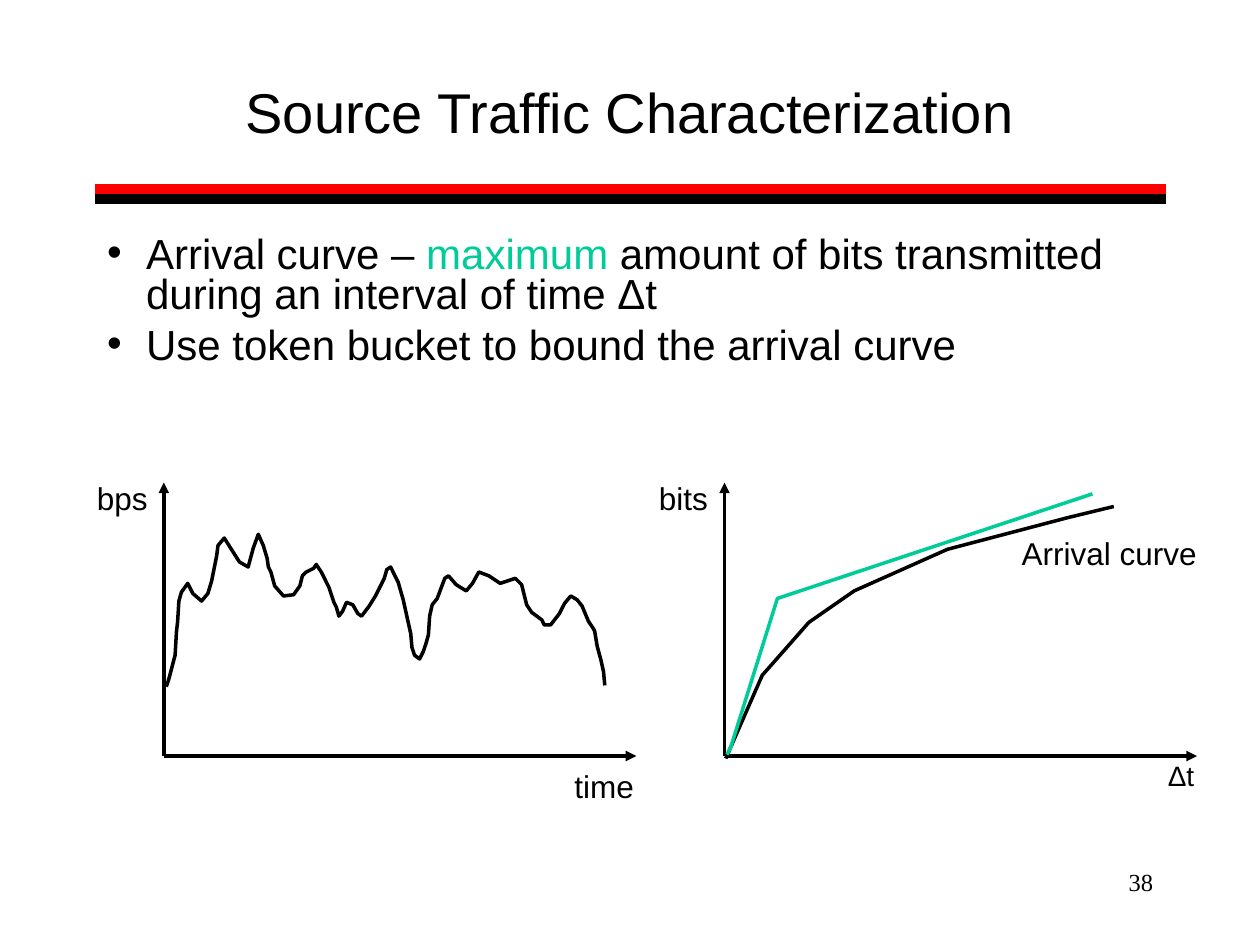
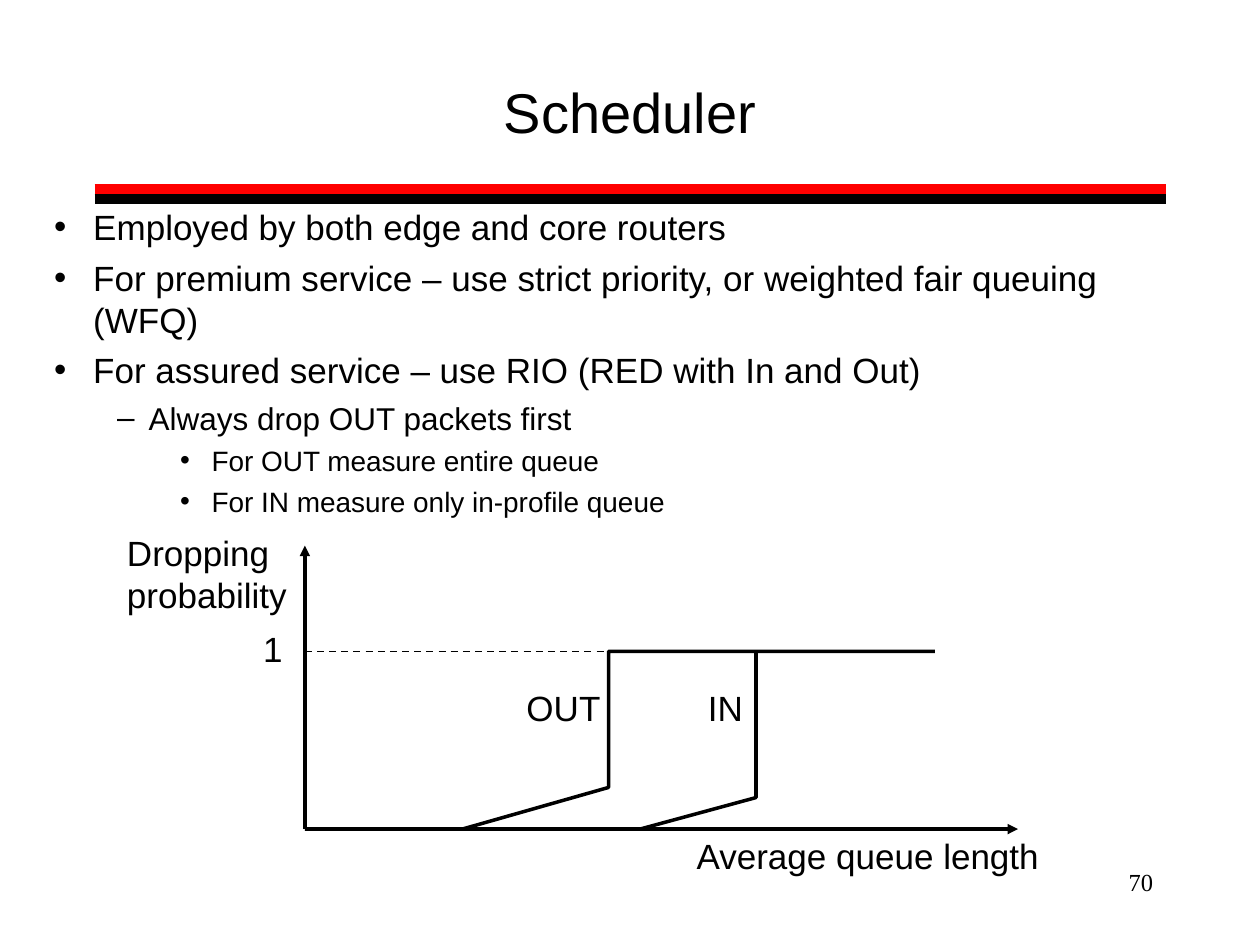
"""Builds two lecture slides on traffic characterization and scheduling."""
from dataclasses import dataclass

from lxml import etree
from pptx import Presentation
from pptx import util as u
from pptx.dml.color import RGBColor
from pptx.enum import dml, shapes, text
from pptx.oxml import ns


@dataclass(frozen=True)
class Theme:
    """Colours, fonts and type sizes."""
    ink: str = "000000"
    band: str = "FF0000"
    accent: str = "00CC99"
    font: str = "Arial"
    number_font: str = "Times New Roman"
    title: int = 32
    lead: int = 24
    large: int = 20
    medium: int = 18
    small: int = 16
    number: int = 14
    band_width: int = 6
    stroke: int = 2
    thin: int = 1


LEVELS = [("•", 0.31, 0.31), ("–", 0.75, 0.25), ("•", 1.25, 0.25)]

TRAFFIC = [
    (1.32, 5.45), (1.34, 5.39), (1.39, 5.2), (1.4, 5.02), (1.41, 4.93),
    (1.42, 4.77), (1.44, 4.7), (1.49, 4.63), (1.53, 4.71), (1.6, 4.77),
    (1.65, 4.71), (1.68, 4.61), (1.72, 4.41), (1.73, 4.33), (1.78, 4.27),
    (1.9, 4.46), (1.97, 4.5), (2.01, 4.35), (2.05, 4.24), (2.09, 4.33),
    (2.12, 4.43), (2.13, 4.5), (2.15, 4.54), (2.18, 4.65), (2.25, 4.73),
    (2.33, 4.72), (2.38, 4.65), (2.4, 4.57), (2.43, 4.54), (2.49, 4.51),
    (2.51, 4.48), (2.55, 4.54), (2.61, 4.66), (2.65, 4.78), (2.67, 4.82),
    (2.69, 4.89), (2.72, 4.85), (2.75, 4.78), (2.8, 4.8), (2.84, 4.87),
    (2.87, 4.89), (2.93, 4.81), (2.98, 4.73), (3.05, 4.59), (3.07, 4.52),
    (3.1, 4.5), (3.16, 4.62), (3.2, 4.76), (3.26, 5.03), (3.27, 5.14),
    (3.29, 5.2), (3.33, 5.23), (3.36, 5.17), (3.38, 5.11), (3.4, 5.04),
    (3.41, 4.89), (3.43, 4.8), (3.47, 4.75), (3.53, 4.59), (3.56, 4.57),
    (3.62, 4.64), (3.7, 4.69), (3.75, 4.63), (3.8, 4.54), (3.88, 4.57),
    (3.97, 4.63), (4.09, 4.59), (4.14, 4.64), (4.18, 4.8), (4.22, 4.86),
    (4.3, 4.92), (4.32, 4.96), (4.37, 4.96), (4.44, 4.87), (4.48, 4.79),
    (4.53, 4.73), (4.58, 4.76), (4.62, 4.81), (4.67, 4.93), (4.71, 4.99),
    (4.72, 5.01), (4.74, 5.13), (4.77, 5.24), (4.79, 5.33), (4.8, 5.44),
]
ARRIVAL = [(5.76, 6.02), (6.05, 5.36), (6.42, 4.94), (6.78, 4.69),
           (7.52, 4.36), (8.47, 4.11), (8.84, 4.02)]
TOKEN_BUCKET = [(5.77, 5.99), (5.8, 5.93), (6.17, 4.75), (8.67, 3.92)]
OUT_DROP = [(2.42, 6.58), (3.67, 6.58), (4.83, 6.25), (4.83, 5.17), (7.42, 5.17)]
IN_DROP = [(5.08, 6.58), (6, 6.33), (6, 5.17)]


class Deck:
    """Holds the theme and the current slide, and draws each kind of element."""

    def __init__(self, theme):
        self.theme = theme
        self.prs = Presentation()
        self.prs.slide_width, self.prs.slide_height = u.Inches(10), u.Inches(7.5)
        self.slide = None

    def new_slide(self, title, number):
        t = self.theme
        self.slide = self.prs.slides.add_slide(self.prs.slide_layouts[1])
        for y, color in ((1.5, t.band), (1.58, t.ink)):
            self.line((0.75, y), (9.25, y), t.band_width, color)
        heading = self.slide.shapes.title
        self.place(heading, 0.75, 0.42, 8.5, 0.92)
        heading.text_frame.vertical_anchor = text.MSO_ANCHOR.MIDDLE
        heading.text_frame.auto_size = text.MSO_AUTO_SIZE.NONE
        paragraph = heading.text_frame.paragraphs[0]
        paragraph.alignment = text.PP_ALIGN.CENTER
        self.run(paragraph, title, t.title)
        page = self.slide.shapes.add_textbox(
            u.Inches(7.17), u.Inches(6.83), u.Inches(2.08), u.Inches(0.5))
        page.text_frame.word_wrap = True
        paragraph = page.text_frame.paragraphs[0]
        paragraph.alignment = text.PP_ALIGN.RIGHT
        self.run(paragraph, number, t.number, font=t.number_font)

    def place(self, shape, left, top, width, height):
        shape.left, shape.top = u.Inches(left), u.Inches(top)
        shape.width, shape.height = u.Inches(width), u.Inches(height)

    def run(self, paragraph, words, size, color=None, font=None):
        run = paragraph.add_run()
        run.text = words
        run.font.size = u.Pt(size)
        run.font.name = font or self.theme.font
        run.font.color.rgb = RGBColor.from_string(color or self.theme.ink)

    def bullets(self, box, items, spacing=1.0):
        body = self.slide.placeholders[1]
        self.place(body, *box)
        frame = body.text_frame
        frame.auto_size = text.MSO_AUTO_SIZE.NONE
        for i, (level, size, runs) in enumerate(items):
            paragraph = frame.add_paragraph() if i else frame.paragraphs[0]
            paragraph.level = level
            mark, margin, hanging = LEVELS[level]
            props = paragraph._p.get_or_add_pPr()
            props.set("marL", str(u.Inches(margin)))
            props.set("indent", str(-u.Inches(hanging)))
            etree.SubElement(props, ns.qn("a:buChar"), char=mark)
            paragraph.line_spacing = spacing
            paragraph.space_before = u.Pt(size / 4 if i else 0)
            for words, color in runs:
                self.run(paragraph, words, size, color)

    def style_line(self, line, width, color):
        line.width = u.Pt(width)
        line.color.rgb = RGBColor.from_string(color or self.theme.ink)

    def line(self, start, end, width, color=None, arrow=False, dashed=False):
        link = self.slide.shapes.add_connector(
            shapes.MSO_CONNECTOR.STRAIGHT, *map(u.Inches, (*start, *end)))
        self.style_line(link.line, width, color)
        if dashed:
            link.line.dash_style = dml.MSO_LINE.DASH
        if arrow:
            etree.SubElement(link.line._get_or_add_ln(), ns.qn("a:tailEnd"), type="triangle")
        etree.SubElement(link._element.spPr, ns.qn("a:effectLst"))

    def axes(self, origin, right, top):
        x, y = origin
        for end in ((right, y), (x, top)):
            self.line(origin, end, self.theme.stroke, arrow=True)

    def curve(self, points, color=None):
        start, *rest = [(u.Inches(x), u.Inches(y)) for x, y in points]
        builder = self.slide.shapes.build_freeform(*start)
        builder.add_line_segments(rest, close=False)
        outline = builder.convert_to_shape()
        outline.fill.background()
        outline.shadow.inherit = False
        self.style_line(outline.line, self.theme.stroke, color)

    def label(self, box, size, *rows):
        left, top, width, height = map(u.Inches, box)
        frame = self.slide.shapes.add_textbox(left, top, width, height).text_frame
        frame.word_wrap = False
        frame.auto_size = text.MSO_AUTO_SIZE.SHAPE_TO_FIT_TEXT
        for i, words in enumerate(rows):
            paragraph = frame.add_paragraph() if i else frame.paragraphs[0]
            self.run(paragraph, words, size)


def traffic_slide(deck):
    """Adds the slide on source traffic."""
    t = deck.theme
    deck.new_slide("Source Traffic Characterization", "38")
    deck.bullets((0.75, 1.83, 8.17, 1.25), [
        (0, t.lead, [("Arrival curve – ", t.ink), ("maximum", t.accent),
                     (" amount of bits transmitted during an interval of time Δt", t.ink)]),
        (0, t.lead, [("Use token bucket to bound the arrival curve", t.ink)]),
    ], spacing=0.8)
    for x in (1.3, 5.75):
        deck.axes((x, 6), x + 3.75, 3.83)
    deck.label((9.17, 5.97, 0.41, 0.36), t.small, "Δt")
    deck.label((5.13, 3.75, 0.59, 0.4), t.medium, "bits")
    deck.label((8.01, 4.19, 1.59, 0.4), t.medium, "Arrival curve")
    deck.label((4.46, 6.04, 0.67, 0.4), t.medium, "time")
    deck.label((0.67, 3.75, 0.6, 0.4), t.medium, "bps")
    deck.curve(TRAFFIC)
    deck.curve(ARRIVAL)
    deck.curve(TOKEN_BUCKET, t.accent)


def scheduler_slide(deck):
    """Adds the slide on the scheduler."""
    t = deck.theme
    deck.new_slide("Scheduler", "70")
    points = [
        (0, t.large, "Employed by both edge and core routers"),
        (0, t.large, "For premium service – use strict priority, or weighted fair queuing (WFQ)"),
        (0, t.large, "For assured service – use RIO (RED with In and Out)"),
        (1, t.medium, "Always drop OUT packets first"),
        (2, t.small, "For OUT measure entire queue"),
        (2, t.small, "For IN measure only in-profile queue"),
    ]
    deck.bullets((0.33, 1.58, 8.58, 2.58),
                 [(level, size, [(words, t.ink)]) for level, size, words in points])
    deck.axes((2.42, 6.58), 8.08, 4.33)
    deck.curve(OUT_DROP)
    deck.curve(IN_DROP)
    deck.line((2.42, 5.17), (4.92, 5.17), t.thin, dashed=True)
    deck.label((4.08, 5.4, 0.79, 0.43), t.large, "OUT")
    deck.label((5.52, 5.4, 0.48, 0.43), t.large, "IN")
    deck.label((5.43, 6.57, 2.92, 0.43), t.large, "Average queue length")
    deck.label((1.99, 4.93, 0.35, 0.43), t.large, "1")
    deck.label((0.91, 4.17, 1.47, 0.76), t.large, "Dropping", "probability")


def main():
    """Builds and saves the slides."""
    deck = Deck(Theme())
    traffic_slide(deck)
    scheduler_slide(deck)
    deck.prs.save("out.pptx")


if __name__ == "__main__":
    main()
